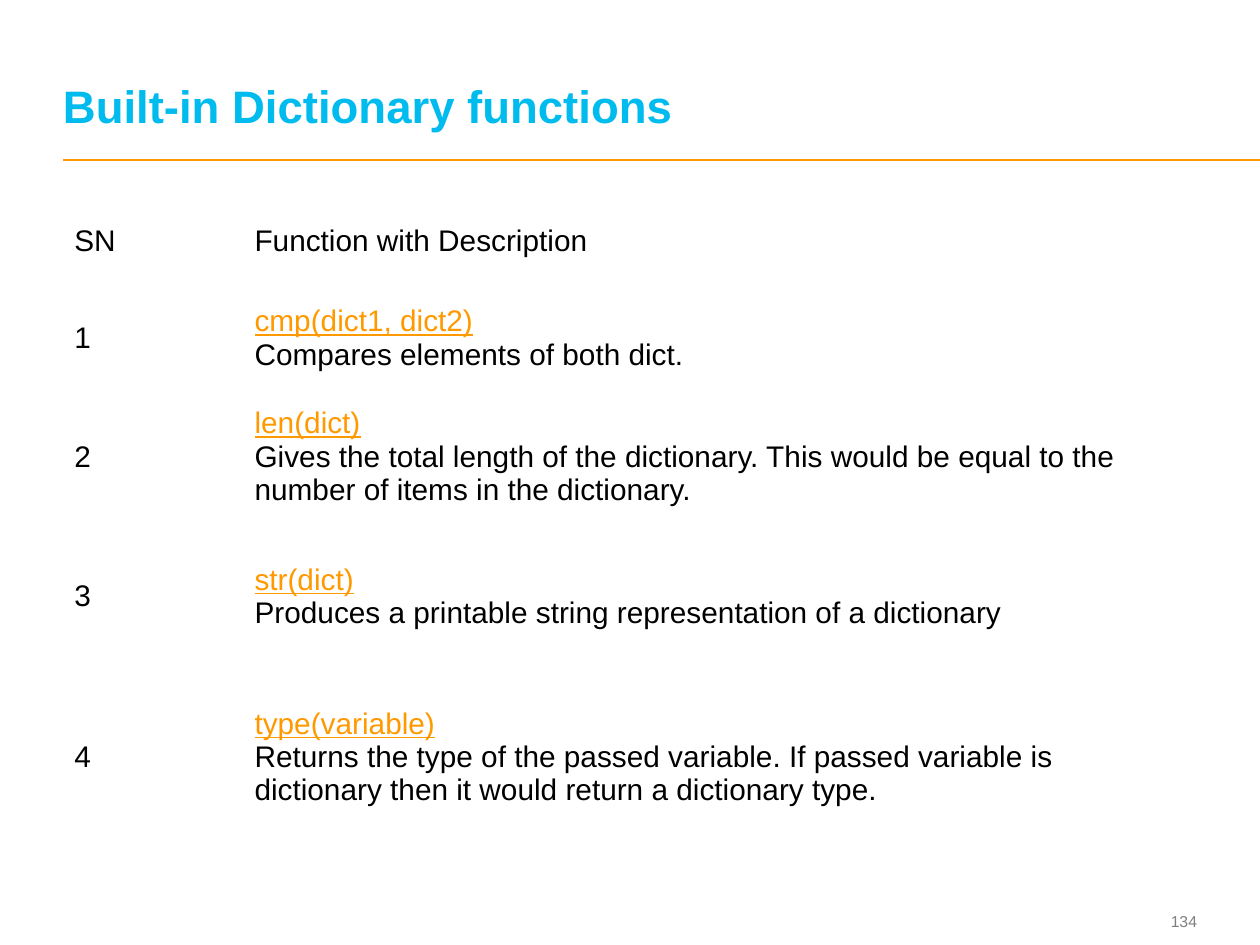
from copy import deepcopy

from pptx import Presentation
from pptx.dml.color import RGBColor
from pptx.enum.shapes import MSO_CONNECTOR
from pptx.enum.text import MSO_ANCHOR as ANCHOR, PP_ALIGN as ALIGN
from pptx.oxml.ns import qn
from pptx.util import Inches, Pt

COLORS = {"title": "00BBEE", "accent": "FF9900", "text": "000000", "number": "7F7F7F"}
COL_WIDTHS = [1.43, 7.54]
ROW_HEIGHTS = [0.77, 0.77, 1.11, 1.11, 1.44]
HEADERS = ["SN", "Function with Description"]
FUNCTIONS = [
    ("cmp(dict1, dict2)", "Compares elements of both dict."),
    ("len(dict)", "Gives the total length of the dictionary. This would be equal to the "
                  "number of items in the dictionary."),
    ("str(dict)", "Produces a printable string representation of a dictionary"),
    ("type(variable)", "Returns the type of the passed variable. If passed variable is "
                       "dictionary then it would return a dictionary type."),
]


def rgb(name):
    return RGBColor.from_string(COLORS[name])


def add_run(p, text, color="text", size=17, **formats):
    r = p.add_run()
    r.text = text
    for key, value in {"name": "Arial", "size": Pt(size), **formats}.items():
        setattr(r.font, key, value)
    r.font.color.rgb = rgb(color)
    return r


def add_text(slide, box, text, color, size, anchor, align, line_spacing=None, **formats):
    tf = slide.shapes.add_textbox(*map(Inches, box)).text_frame
    frame = {"word_wrap": True, "vertical_anchor": anchor, "margin_left": 0,
             "margin_right": 0, "margin_top": 0, "margin_bottom": 0}
    for key, value in frame.items():
        setattr(tf, key, value)
    p = tf.paragraphs[0]
    p.alignment = align
    p.line_spacing = line_spacing
    add_run(p, text, color, size, **formats)


def add_rule(slide, x1, x2, y):
    line = slide.shapes.add_connector(
        MSO_CONNECTOR.STRAIGHT, Inches(x1), Inches(y), Inches(x2), Inches(y))
    line.line.color.rgb = rgb("accent")
    line.line.width = Pt(1)
    sp_pr = line._element.spPr
    sp_pr.append(sp_pr.makeelement(qn("a:effectLst"), {}))


def add_function(p, signature, description):
    r = add_run(p, signature, "accent", underline=True)
    p.add_line_break()
    p._p[-1].append(deepcopy(r._r.rPr))
    add_run(p, description)


def add_function_table(slide, left, top):
    size = sum(COL_WIDTHS), sum(ROW_HEIGHTS)
    table = slide.shapes.add_table(
        len(ROW_HEIGHTS), len(COL_WIDTHS), *map(Inches, (left, top, *size))).table
    table.first_row = table.horz_banding = False
    for column, width in zip(table.columns, COL_WIDTHS):
        column.width = Inches(width)
    for row, height in zip(table.rows, ROW_HEIGHTS):
        row.height = Inches(height)
    for cell in table.iter_cells():
        cell.fill.background()
        cell.vertical_anchor = ANCHOR.MIDDLE
    for col, header in enumerate(HEADERS):
        add_run(table.cell(0, col).text_frame.paragraphs[0], header)
    for row, function in enumerate(FUNCTIONS, 1):
        number, content = (table.cell(row, col).text_frame.paragraphs[0] for col in (0, 1))
        add_run(number, str(row))
        add_function(content, *function)


def main():
    prs = Presentation()
    prs.slide_width, prs.slide_height = Inches(10), Inches(7.5)
    slide = prs.slides.add_slide(prs.slide_layouts[6])
    add_rule(slide, 0.5, 10, 1.27)
    add_text(slide, (8.91, 7.18, 0.59, 0.27), "134", "number", 9,
             ANCHOR.MIDDLE, ALIGN.RIGHT)
    add_text(slide, (0.5, 0.19, 8.97, 0.86), "Built-in Dictionary functions", "title", 26,
             ANCHOR.BOTTOM, ALIGN.LEFT, line_spacing=Pt(26), bold=True)
    add_function_table(slide, 0.49, 1.53)
    prs.save("out.pptx")


if __name__ == "__main__":
    main()
